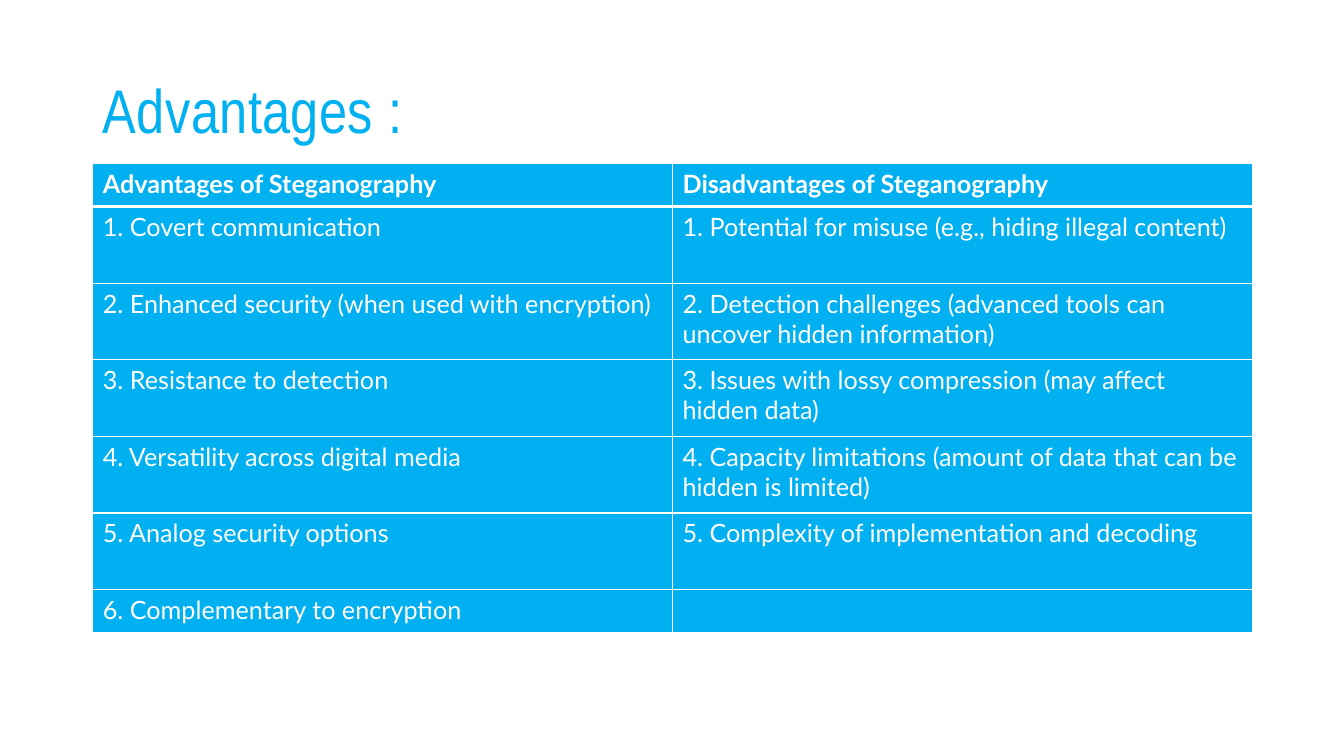
from lxml import etree
from pptx import Presentation
from pptx.dml.color import RGBColor
from pptx.enum.text import MSO_ANCHOR, MSO_AUTO_SIZE, PP_ALIGN
from pptx.oxml.ns import qn
from pptx.util import Pt

MIDDLE, NO_FIT, LEFT = MSO_ANCHOR.MIDDLE, MSO_AUTO_SIZE.NONE, PP_ALIGN.LEFT

# Content
TITLE = "Advantages :"
ROWS = [
    ("Advantages of Steganography", "Disadvantages of Steganography"),
    ("1. Covert communication",
     "1. Potential for misuse (e.g., hiding illegal content)"),
    ("2. Enhanced security (when used with encryption)",
     "2. Detection challenges (advanced tools can uncover hidden information)"),
    ("3. Resistance to detection",
     "3. Issues with lossy compression (may affect hidden data)"),
    ("4. Versatility across digital media",
     "4. Capacity limitations (amount of data that can be hidden is limited)"),
    ("5. Analog security options",
     "5. Complexity of implementation and decoding"),
    ("6. Complementary to encryption", ""),
]

# Layout in px, 100 to the inch
PX = 9144
PAGE_WIDTH, PAGE_HEIGHT = 1333, 750
MARGIN, CONTENT_WIDTH = 92, 1150
TITLE_TOP, TITLE_HEIGHT = 40, 145
TABLE_TOP = 162
SHORT_ROW, TALL_ROW = 43, 76

# Formats
BLUE, WHITE = "00B0F0", "FFFFFF"
TITLE_FONT = {"name": "Arial Narrow", "size": Pt(44), "bold": False}
CELL_FONT = {"name": "Lato", "size": Pt(18)}
THIN, THICK = Pt(1), Pt(3)


def px(length):
    return round(length * PX)


def colour(hex_string):
    return RGBColor.from_string(hex_string)


def format_font(font, hex_string, values):
    for name, value in values.items():
        setattr(font, name, value)
    font.color.rgb = colour(hex_string)


def set_borders(cell, widths):
    """Put the border lines, in schema order, ahead of the cell's fill."""
    properties = cell._tc.get_or_add_tcPr()
    for position, (side, width) in enumerate(widths.items()):
        line = etree.Element(qn(f"a:{side}"), w=str(width))
        fill = etree.SubElement(line, qn("a:solidFill"))
        etree.SubElement(fill, qn("a:srgbClr"), val=WHITE)
        properties.insert(position, line)


def add_title(page):
    title = page.shapes.title
    title.left, title.top = px(MARGIN), px(TITLE_TOP)
    title.width, title.height = px(CONTENT_WIDTH), px(TITLE_HEIGHT)
    frame = title.text_frame
    frame.auto_size, frame.vertical_anchor = NO_FIT, MIDDLE
    para = frame.paragraphs[0]
    para.alignment, para.line_spacing = LEFT, 0.9
    span = para.add_run()
    span.text = TITLE
    format_font(span.font, BLUE, TITLE_FONT)
    span._r.get_or_add_rPr().set("spc", "30")


def add_comparison(page):
    heights = [TALL_ROW] * len(ROWS)
    heights[0] = heights[-1] = SHORT_ROW
    columns = len(ROWS[0])
    table = page.shapes.add_table(
        len(ROWS), columns, px(MARGIN), px(TABLE_TOP),
        px(CONTENT_WIDTH), px(sum(heights))).table
    for column in table.columns:
        column.width = px(CONTENT_WIDTH / columns)
    for row_index, texts in enumerate(ROWS):
        table.rows[row_index].height = px(heights[row_index])
        header = row_index == 0
        for column_index, text in enumerate(texts):
            cell = table.cell(row_index, column_index)
            cell.fill.solid()
            cell.fill.fore_color.rgb = colour(BLUE)
            # The line below the header is the thick one
            set_borders(cell, {
                "lnL": THIN, "lnR": THIN,
                "lnT": THICK if row_index == 1 else THIN,
                "lnB": THICK if header else THIN})
            if text:
                span = cell.text_frame.paragraphs[0].add_run()
                span.text = text
                format_font(span.font, WHITE, {**CELL_FONT, "bold": header})


def main():
    deck = Presentation()
    deck.slide_width, deck.slide_height = px(PAGE_WIDTH), px(PAGE_HEIGHT)
    page = deck.slides.add_slide(deck.slide_layouts.get_by_name("Title Only"))
    add_title(page)
    add_comparison(page)
    deck.save("out.pptx")


if __name__ == "__main__":
    main()
